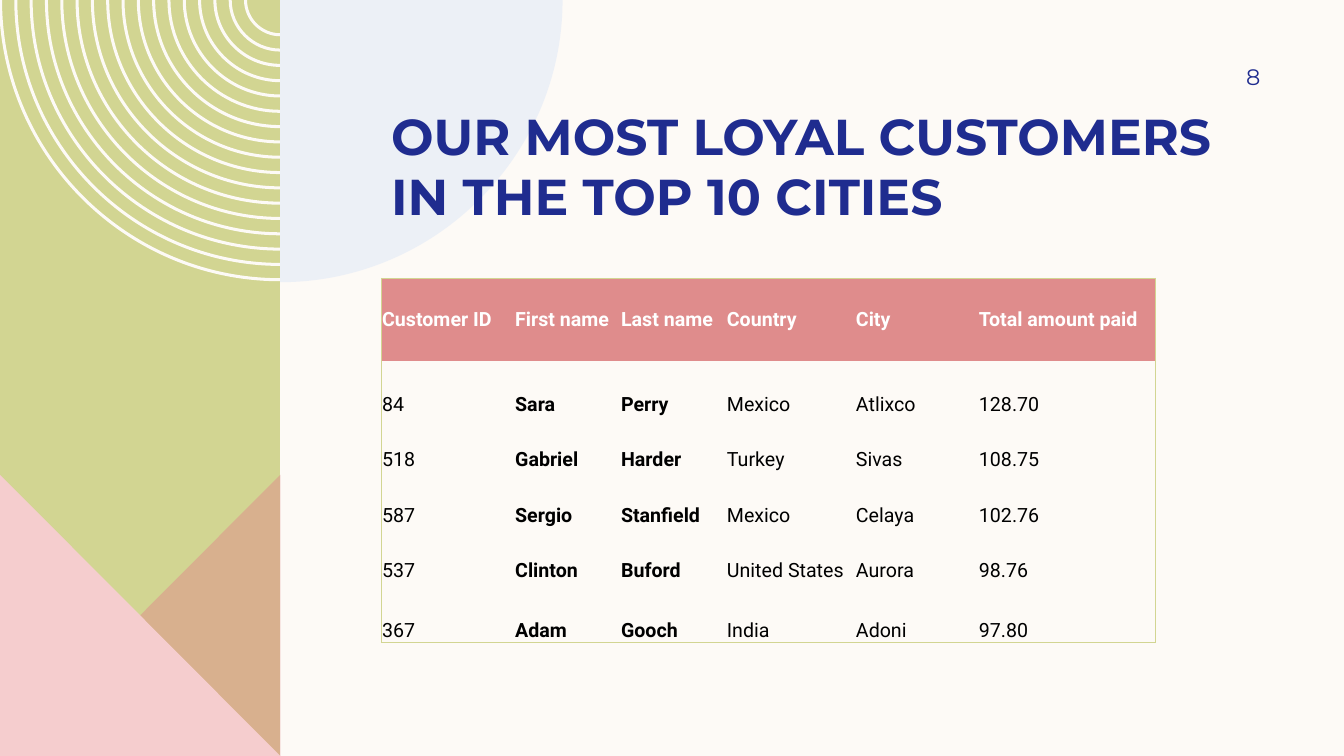
from dataclasses import dataclass

from lxml import etree
from pptx import Presentation
from pptx import util as u
from pptx.dml.color import RGBColor
from pptx.enum import text
from pptx.oxml import ns

PX = 9144  # EMU in one px, 100 px to the inch
Point = tuple[float, float]
Segment = list[Point]  # one point for a line, three for a Bézier curve


@dataclass(frozen=True)
class Theme:
    heading: str = "Montserrat"
    body: str = "Roboto"
    paper: str = "FDFAF6"
    green: str = "D2D592"
    rose: str = "DE8C8C"
    pink: str = "F5CDCE"
    sky: str = "DDE7F6"
    navy: str = "1F2C8F"
    header: str = "DF8C8C"
    white: str = "FFFFFF"
    black: str = "000000"
    title_pt: int = 36
    number_pt: int = 16
    table_pt: int = 14


@dataclass(frozen=True)
class Box:
    x: int
    y: int
    w: int
    h: int

    def emu(self) -> list[int]:
        return [px(v) for v in (self.x, self.y, self.w, self.h)]


@dataclass(frozen=True)
class Panel:
    """A filled area bounded by closed outlines, each starting with one point."""
    outlines: list[list[Segment]]
    color: str
    alpha: int = 100


@dataclass(frozen=True)
class Column:
    name: str
    width: int
    values: tuple[str, ...]
    bold: bool = False


THEME = Theme()
BAND = 278  # right edge of the side band, and centre of every arc
TRIANGLE_TOP = 471
SLIDE = Box(0, 0, 1333, 750)
TITLE = Box(378, 34, 871, 190)
NUMBER = Box(1133, 50, 117, 52)
TABLE = Box(378, 276, 768, 361)
ROW_HEIGHTS = (82, 55, 55, 55, 55, 59)
RING_COUNT, RING_WIDTH, RING_MAX, RING_MIN = 17, 3, 279, 36
DISC_RADIUS = 280
QUARTER = 0.55  # Bézier handle length of a quarter circle, in radii
NO_STYLE = "{2D5ABB26-0587-4C30-8999-92F81FD0307C}"

COLUMNS = [
    Column("Customer ID", 132, ("84", "518", "587", "537", "367")),
    Column("First name", 105, ("Sara", "Gabriel", "Sergio", "Clinton", "Adam"), True),
    Column("Last name", 105, ("Perry", "Harder", "Stanfield", "Buford", "Gooch"), True),
    Column("Country", 128, ("Mexico", "Turkey", "Mexico", "United States", "India")),
    Column("City", 122, ("Atlixco", "Sivas", "Celaya", "Aurora", "Adoni")),
    Column("Total amount paid", 176, ("128.70", "108.75", "102.76", "98.76", "97.80")),
]


def px(value: float) -> int:
    return round(value * PX)


def polygon(*points: Point) -> list[Segment]:
    return [[p] for p in points]


def quarter(radius: float, side: int) -> list[Point]:
    """Bézier points from the slide's top down to the band's edge; side -1 is left."""
    handle = QUARTER * radius
    return [(BAND + side * radius, 0), (BAND + side * radius, handle),
            (BAND + side * handle, radius), (BAND, radius)]


def ring(index: int) -> list[Segment]:
    radius = RING_MAX - index * (RING_MAX - RING_MIN) / (RING_COUNT - 1)
    outer, inner = quarter(radius, -1), quarter(radius - RING_WIDTH, -1)[::-1]
    return [outer[:1], outer[1:], inner[:1], inner[1:]]


def disc() -> list[Segment]:
    edge = quarter(DISC_RADIUS, 1)
    return [[(BAND, 0)], edge[:1], edge[1:]]


def bend(sp, segments: list[Segment]) -> None:
    """Join the three lines drawn for each curve into one Bézier."""
    lines = iter(list(sp.element.iter(ns.qn("a:lnTo"))))
    for segment in segments:
        group = [next(lines) for _ in segment]
        if len(group) == 3:
            curve = etree.Element(ns.qn("a:cubicBezTo"))
            group[0].addprevious(curve)
            for line in group:
                curve.append(line[0])
                line.getparent().remove(line)


def add_panel(slide, panel: Panel) -> None:
    builder = None
    for start, *segments in panel.outlines:
        x, y = (px(v) for v in start[0])
        if builder is None:
            builder = slide.shapes.build_freeform(x, y)
        else:
            builder.move_to(x, y)
        builder.add_line_segments([(px(x), px(y)) for s in segments for x, y in s])
    sp = builder.convert_to_shape()
    bend(sp, [s for outline in panel.outlines for s in outline[1:]])
    sp.shadow.inherit = False
    sp.line.fill.background()
    sp.fill.solid()
    sp.fill.fore_color.rgb = RGBColor.from_string(panel.color)
    if panel.alpha < 100:
        color = sp.element.spPr.find(ns.qn("a:solidFill"))[0]
        etree.SubElement(color, ns.qn("a:alpha"), val=str(panel.alpha * 1000))


def set_font(p, name: str, size: int, color: str, bold: bool = False) -> None:
    p.font.name, p.font.size, p.font.bold = name, u.Pt(size), bold
    p.font.color.rgb = RGBColor.from_string(color)


def set_insets(target, left: int, top: int, right: int, bottom: int) -> None:
    target.margin_left, target.margin_top = px(left), px(top)
    target.margin_right, target.margin_bottom = px(right), px(bottom)


def add_title(slide) -> None:
    sp = slide.shapes.title
    slide.shapes.element.append(sp.element)  # bring in front of the panels
    sp.left, sp.top, sp.width, sp.height = TITLE.emu()
    tf = sp.text_frame
    tf.text = "OUR MOST LOYAL CUSTOMERS IN THE TOP 10 CITIES"
    tf.word_wrap, tf.auto_size = True, text.MSO_AUTO_SIZE.NONE
    tf.vertical_anchor = text.MSO_ANCHOR.BOTTOM
    set_insets(tf, 10, 0, 10, 0)
    p = tf.paragraphs[0]
    p.alignment, p.line_spacing = text.PP_ALIGN.LEFT, 1.0
    set_font(p, THEME.heading, THEME.title_pt, THEME.navy, True)


def add_number(slide) -> None:
    tf = slide.shapes.add_textbox(*NUMBER.emu()).text_frame
    tf.text, tf.word_wrap = "8", True
    tf.vertical_anchor = text.MSO_ANCHOR.MIDDLE
    set_insets(tf, 10, 5, 0, 5)
    p = tf.paragraphs[0]
    p.alignment = text.PP_ALIGN.RIGHT
    set_font(p, THEME.heading, THEME.number_pt, THEME.navy)


def set_borders(cell, row: int, col: int) -> None:
    """Line only the sides that lie on the table's outer frame."""
    sides = {"L": col == 0, "R": col == len(COLUMNS) - 1,
             "T": row == 0, "B": row == len(ROW_HEIGHTS) - 1}
    for side in (s for s, outer in sides.items() if outer):
        ln = etree.SubElement(cell._tc.get_or_add_tcPr(), ns.qn(f"a:ln{side}"), w=str(u.Pt(0.5)))
        fill = etree.SubElement(ln, ns.qn("a:solidFill"))
        etree.SubElement(fill, ns.qn("a:srgbClr"), val=THEME.green)


def fill_cell(cell, row: int, col: int) -> None:
    column, is_header = COLUMNS[col], row == 0
    cell.text = column.name if is_header else column.values[row - 1]
    set_insets(cell, 1, 1, 1, 0)
    set_borders(cell, row, col)
    if is_header:
        cell.fill.solid()
        cell.fill.fore_color.rgb = RGBColor.from_string(THEME.header)
    else:
        cell.fill.background()
    cell.vertical_anchor = text.MSO_ANCHOR.MIDDLE if is_header else text.MSO_ANCHOR.BOTTOM
    set_font(cell.text_frame.paragraphs[0], THEME.body, THEME.table_pt,
             THEME.white if is_header else THEME.black, is_header or column.bold)


def add_customers(slide) -> None:
    frame = slide.shapes.add_table(len(ROW_HEIGHTS), len(COLUMNS), *TABLE.emu())
    table = frame.table
    table.horz_banding = False
    next(frame.element.iter(ns.qn("a:tableStyleId"))).text = NO_STYLE
    for row, height in enumerate(ROW_HEIGHTS):
        table.rows[row].height = px(height)
    for col, column in enumerate(COLUMNS):
        table.columns[col].width = px(column.width)
        for row in range(len(ROW_HEIGHTS)):
            fill_cell(table.cell(row, col), row, col)


def main() -> None:
    prs = Presentation()
    prs.slide_width, prs.slide_height = px(SLIDE.w), px(SLIDE.h)
    slide = prs.slides.add_slide(prs.slide_layouts[5])
    slide.background.fill.solid()
    slide.background.fill.fore_color.rgb = RGBColor.from_string(THEME.paper)
    top_left, top_right = (0, TRIANGLE_TOP), (BAND, TRIANGLE_TOP)
    low_left, low_right = (0, SLIDE.h), (BAND, SLIDE.h)
    for panel in (
        Panel([polygon((0, 0), (BAND, 0), low_right, low_left)], THEME.green),
        Panel([ring(i) for i in range(RING_COUNT)], THEME.paper),
        Panel([polygon(top_right, low_right, low_left)], THEME.rose, 50),
        Panel([polygon(top_left, low_right, low_left)], THEME.pink),
        Panel([disc()], THEME.sky, 50),
    ):
        add_panel(slide, panel)
    add_title(slide)
    add_number(slide)
    add_customers(slide)
    prs.save("out.pptx")


if __name__ == "__main__":
    main()
